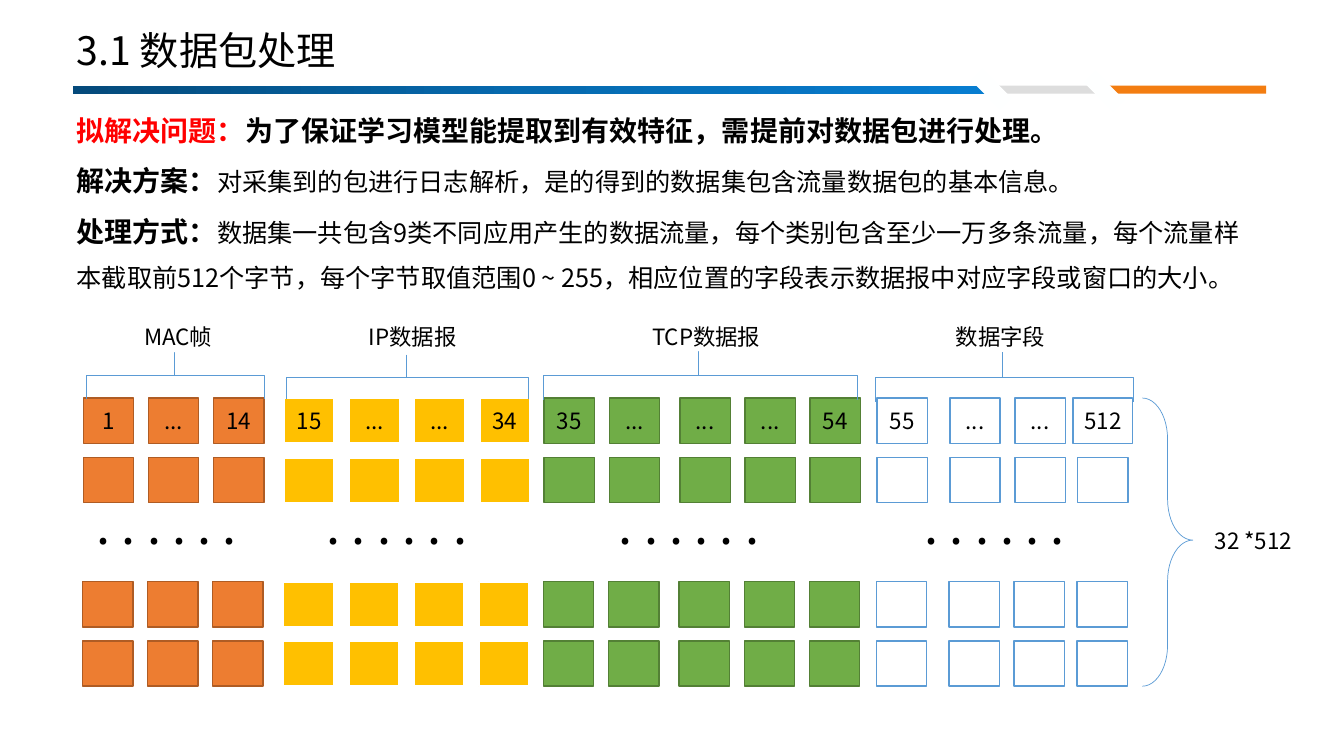
from copy import deepcopy

from lxml.etree import SubElement
from pptx import Presentation
from pptx.dml.color import RGBColor
from pptx.enum.shapes import MSO_SHAPE as Shape
from pptx.enum.text import MSO_ANCHOR as Anchor, MSO_AUTO_SIZE as AutoSize, PP_ALIGN as Align
from pptx.oxml.ns import qn
from pptx.util import Cm, Pt

FONT = "Noto Sans CJK SC"
BLUE = "5B9BD5"
rgb = RGBColor.from_string


def write(para, text, size=16, color="000000", bold=False, align=Align.LEFT, spacing=1.0, before=0):
    para.alignment = align
    para.line_spacing = spacing
    para.space_before = Pt(before)
    span = para.add_run()
    span.text = text
    span.font.size = Pt(size)
    span.font.bold = bold
    span.font.name = FONT
    span.font.color.rgb = rgb(color)
    SubElement(span.font._element, qn("a:ea"), typeface=FONT)


def draw(kind, left, top, width, height, fill=None, line=None, weight=1.0, turn=0):
    shape = page.shapes.add_shape(kind, Cm(left), Cm(top), Cm(width), Cm(height))
    shape.shadow.inherit = False
    shape.rotation = turn
    if fill:
        shape.fill.solid()
        shape.fill.fore_color.rgb = rgb(fill)
    else:
        shape.fill.background()
    if line:
        shape.line.color.rgb = rgb(line)
        shape.line.width = Pt(weight)
    else:
        shape.line.fill.background()
    return shape


deck = Presentation()
deck.slide_width, deck.slide_height = Cm(33.86), Cm(19.05)
page = deck.slides.add_slide(deck.slide_layouts[1])
title, body = page.placeholders

# Title
title.left, title.top, title.width, title.height = Cm(1.68), Cm(0.51), Cm(10.39), Cm(1.63)
title.text_frame.vertical_anchor = Anchor.MIDDLE
title.text_frame.auto_size = AutoSize.NONE
write(title.text_frame.paragraphs[0], "3.1 数据包处理", size=28, spacing=0.9, before=10)

# Body: a bold lead-in followed by its explanation
body.left, body.top, body.width, body.height = Cm(1.68), Cm(1.88), Cm(30.33), Cm(8.13)
body.text_frame.auto_size = AutoSize.NONE
points = [
    ("拟解决问题：", "FF0000", "为了保证学习模型能提取到有效特征，需提前对数据包进行处理。", 20, True, 2.0),
    ("解决方案：", "000000", "对采集到的包进行日志解析，是的得到的数据集包含流量数据包的基本信息。", 18, False, 1.5),
    ("处理方式：", "000000",
     "数据集一共包含9类不同应用产生的数据流量，每个类别包含至少一万多条流量，"
     "每个流量样本截取前512个字节，每个字节取值范围0 ~ 255，"
     "相应位置的字段表示数据报中对应字段或窗口的大小。", 18, False, 1.5),
]
for number, (lead, lead_color, detail, size, bold, spacing) in enumerate(points):
    para = body.text_frame.add_paragraph() if number else body.text_frame.paragraphs[0]
    write(para, lead, size=20, color=lead_color, bold=True, spacing=spacing)
    write(para, detail, size=size, bold=bold, spacing=spacing)
    properties = para._p.get_or_add_pPr()
    properties.set("marL", "0")
    properties.set("indent", "0")
    SubElement(properties, qn("a:buNone"))

# Header bar with slanted cuts
bar = draw(Shape.RECTANGLE, 1.83, 2.16, 23.01, 0.2, fill="077DD0")
bar.fill.gradient()
bar.fill.gradient_angle = 0
stop_list = bar.element.spPr.find(".//" + qn("a:gsLst"))
stop_list.insert(1, deepcopy(stop_list[0]))
for stop, position, color in zip(bar.fill.gradient_stops, (0, 0.5, 1), ("044A7B", "066AAF", "077DD0")):
    stop.position = position
    stop.color.rgb = rgb(color)
draw(Shape.RECTANGLE, 25.12, 2.16, 2.49, 0.2, fill="DDDDDD")
draw(Shape.RECTANGLE, 27.91, 2.16, 3.99, 0.2, fill="F37D11")
for left, top in ((24.77, 1.73), (27.61, 1.78)):
    draw(Shape.RECTANGLE, left, top, 0.41, 1.04, fill="FEFFFF", turn=135)

# Packet sections: cells, colours, brace (centre x, centre y, depth, span), label and dots
sections = [
    dict(label="MAC帧", label_left=3.38, label_width=2.54, dots_left=2.18,
         fill="ED7D31", line="AF5C24", weight=1, brace=(4.42, 9.47, 1.17, 4.47),
         lefts=[2.1, 3.74, 5.38], numbers=["1", "...", "14"]),
    dict(label="IP数据报", label_left=9.04, label_width=3.68, dots_left=7.98,
         fill="FFC000", line="FFFFFF", weight=1.5, brace=(10.27, 9.5, 1.09, 6.1),
         lefts=[7.16, 8.8, 10.44, 12.08], numbers=["15", "...", "...", "34"]),
    dict(label="TCP数据报", label_left=16.18, label_width=4.98, dots_left=15.34,
         fill="70AD47", line="538035", weight=1, brace=(17.65, 9.47, 1.22, 7.92),
         lefts=[13.71, 15.35, 17.13, 18.77, 20.41], numbers=["35", "...", "...", "...", "54"]),
    dict(label="数据字段", label_left=23.83, label_width=4.8, dots_left=23.04,
         fill="FFFFFF", line=BLUE, weight=1, brace=(25.31, 9.5, 1.24, 6.5),
         lefts=[22.1, 23.93, 25.57, 27.15], numbers=["55", "...", "...", "512"]),
]
row_tops = [10.03, 11.53, 14.66, 16.15]
captions = [("32 *512", 30.07, 13.16, 3.02, 0.94, 16, Align.CENTER)]
for section in sections:
    for row, top in enumerate(row_tops):
        shift = 0.02 if row > 1 else 0
        for left, number in zip(section["lefts"], section["numbers"]):
            extra = 0.23 if row == 0 and number == "512" else 0
            cell = draw(Shape.RECTANGLE, left - shift - extra / 2, top, 1.27 + extra, 1.14,
                        section["fill"], section["line"], section["weight"])
            if row == 0:
                frame = cell.text_frame
                frame.margin_left = frame.margin_right = 0
                frame.vertical_anchor = Anchor.MIDDLE
                write(frame.paragraphs[0], number, align=Align.CENTER)

    center_x, center_y, depth, span_length = section["brace"]
    brace = draw(Shape.LEFT_BRACE, center_x - depth / 2, center_y - span_length / 2,
                 depth, span_length, line=BLUE, weight=0.5, turn=90)
    brace.adjustments[0], brace.adjustments[1] = 0, 0.507
    captions.append((section["label"], section["label_left"], 8.03,
                     section["label_width"], 0.94, 16, Align.LEFT))
    captions.append((". . . . . .", section["dots_left"], 12.32, 4.11, 1.78, 36, Align.LEFT))

# Brace over all rows
rows_brace = draw(Shape.LEFT_BRACE, 28.78, 10.03, 1.27, 7.26, line=BLUE, weight=0.5, turn=180)
rows_brace.adjustments[0], rows_brace.adjustments[1] = 0.814, 0.507

# Labels and dots
for text, left, top, width, height, size, align in captions:
    box = page.shapes.add_textbox(Cm(left), Cm(top), Cm(width), Cm(height))
    box.text_frame.word_wrap = True
    write(box.text_frame.paragraphs[0], text, size=size, align=align)

deck.save("out.pptx")
